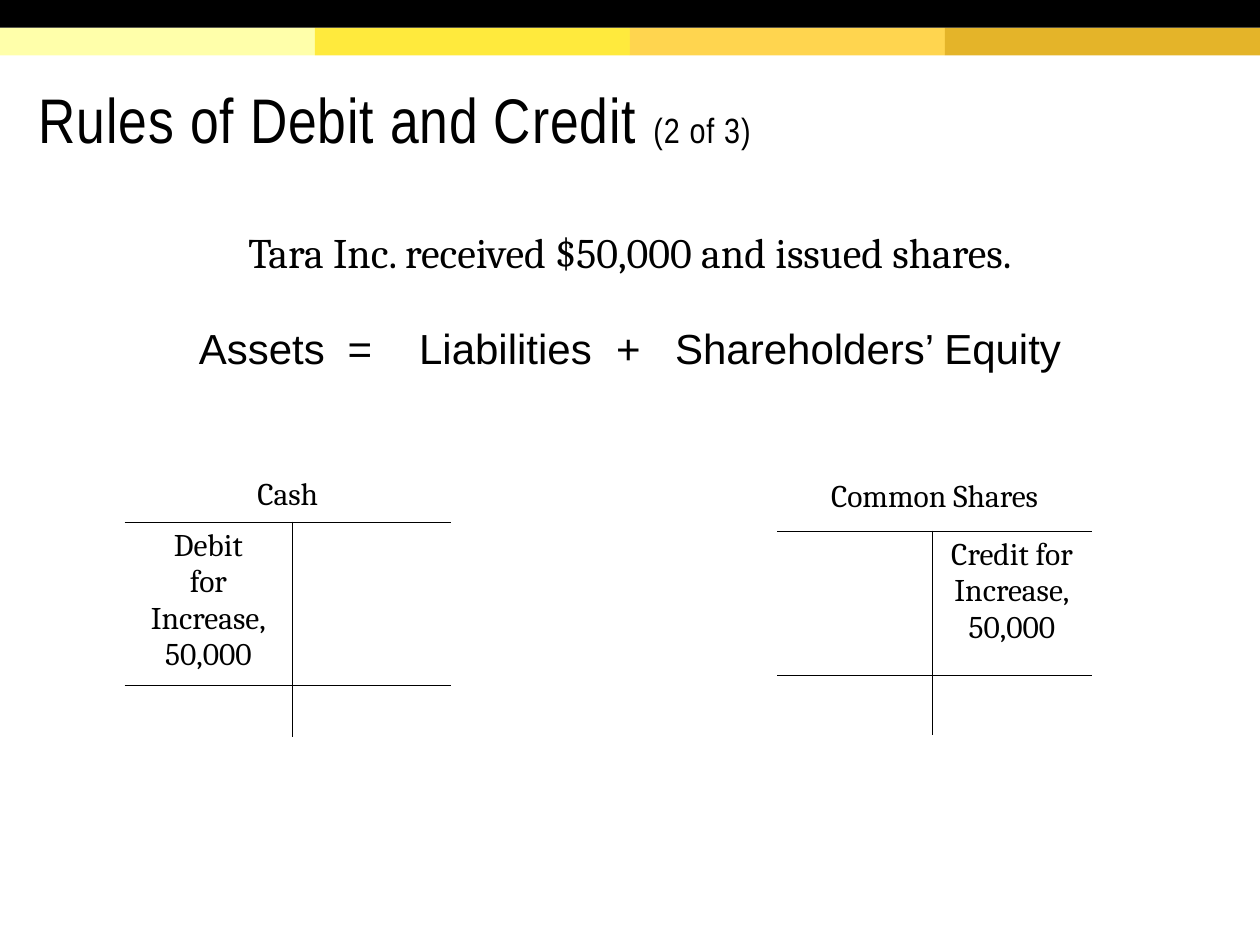
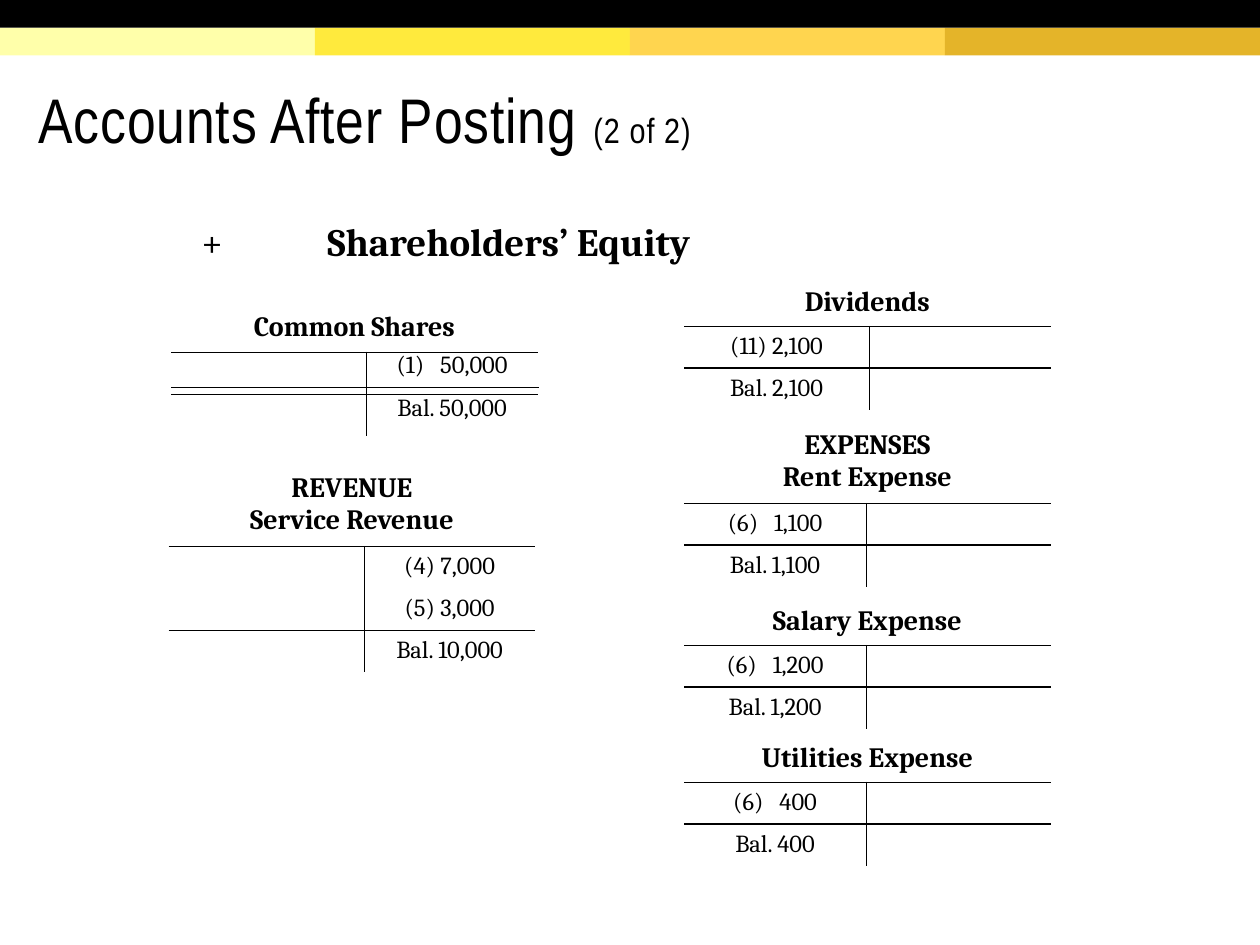
from dataclasses import dataclass

from lxml.etree import SubElement
from pptx import Presentation
from pptx.dml.color import RGBColor
from pptx.enum.shapes import MSO_CONNECTOR, MSO_SHAPE
from pptx.enum.text import MSO_ANCHOR, MSO_AUTO_SIZE, PP_ALIGN
from pptx.oxml.ns import qn
from pptx.slide import Slide, SlideLayout
from pptx.table import _Cell
from pptx.text.text import TextFrame, _Paragraph, _Run
from pptx.util import Cm, Pt


@dataclass(frozen=True)
class Theme:
    ink: str = "000000"
    bands: tuple[str, ...] = ("FFFFAA", "FFEA3D", "FFD54F", "E4B429")
    title_font: str = "Arial Narrow"
    body_font: str = "Cambria"
    equation_font: str = "Arial"
    title_size: float = 36
    part_size: float = 20
    statement_size: float = 24
    section_size: float = 22.2
    example_size: float = 18
    heading_size: float = 16
    entry_size: float = 14
    hairline: float = 0.25
    rule: float = 0.5
    total_line: float = 1


THEME = Theme()
SLIDE_WIDTH, SLIDE_HEIGHT = 25.4, 19.05
BAND_HEIGHT = 0.56
ENTRY_ROW = 0.83
NO_GRID_STYLE = "{2D5ABB26-0587-4C30-8999-92F81FD0307C}"


@dataclass(frozen=True)
class Account:
    heading: str
    left: float
    top: float
    columns: tuple[float, float]
    rows: tuple[float, ...]
    entries: tuple[tuple[str, str], ...]
    heading_size: float = THEME.heading_size
    entry_size: float = THEME.entry_size
    bold_heading: bool = True
    total_line: float = THEME.total_line
    flush: bool = False
    wide_reference: bool = False


def posted(heading: str, top: float, debit: str, balance: str,
           columns: tuple[float, float] = (3.67, 3.72), wide: bool = True) -> Account:
    heading_row = 1.55 if "\n" in heading else 0.89
    return Account(heading, 13.79, top, columns, (heading_row, ENTRY_ROW, ENTRY_ROW),
                   ((debit, ""), (balance, "")), wide_reference=wide)


EXAMPLE_STYLE = dict(heading_size=THEME.example_size, entry_size=THEME.example_size,
                     bold_heading=False, total_line=THEME.hairline)
EXAMPLE_ACCOUNTS = (
    Account("Cash", 2.51, 9.5, (3.38, 3.2), (0.99, 3.18, 1.04),
            (("Debit\nfor\nIncrease,\n50,000", ""), ("", "")), **EXAMPLE_STYLE),
    Account("Common Shares", 15.67, 9.53, (3.12, 3.22), (1.17, 2.92, 1.19),
            (("", "Credit for Increase,\n50,000"), ("", "")), **EXAMPLE_STYLE),
)
POSTED_ACCOUNTS = (
    Account("Common Shares", 3.45, 6.15, (3.94, 3.45), (0.94, 0.86, 0.84),
            (("", "(1) 50,000"), ("", "Bal. 50,000")),
            total_line=THEME.hairline, flush=True, wide_reference=True),
    Account("REVENUE\nService Revenue", 3.4, 9.4, (3.94, 3.45),
            (1.55, ENTRY_ROW, ENTRY_ROW, ENTRY_ROW),
            (("", "(4) 7,000"), ("", "(5) 3,000"), ("", "Bal. 10,000"))),
    posted("Dividends", 5.64, "(11) 2,100", "Bal. 2,100", (3.73, 3.66), wide=False),
    posted("EXPENSES\nRent Expense", 8.53, "(6) 1,100", "Bal. 1,100"),
    posted("Salary Expense", 12.07, "(6) 1,200", "Bal. 1,200"),
    posted("Utilities Expense", 14.83, "(6) 400", "Bal. 400"),
)


def format_run(run: _Run, size: float, font: str = THEME.body_font,
               bold: bool = False, tracking: int = 0) -> None:
    run.font.size = Pt(size)
    run.font.name = font
    run.font.bold = bold
    run.font.color.rgb = RGBColor.from_string(THEME.ink)
    if tracking:
        run.font._element.set("spc", str(tracking))


def append_run(paragraph: _Paragraph, text: str) -> _Run:
    run = paragraph.add_run()
    run.text = text
    return run


def add_tabs(paragraph: _Paragraph, stops: tuple[float, ...]) -> None:
    tab_list = SubElement(paragraph._p.get_or_add_pPr(), qn("a:tabLst"))
    for stop in stops:
        SubElement(tab_list, qn("a:tab"), pos=str(Cm(stop)), algn="l")


def add_bands(slide: Slide, layout: SlideLayout) -> None:
    width = SLIDE_WIDTH / len(THEME.bands)
    bands = [(i * width, BAND_HEIGHT, width, color) for i, color in enumerate(THEME.bands)]
    bands.append((0, 0, SLIDE_WIDTH, THEME.ink))
    for position, (left, top, span, color) in enumerate(bands, start=2):
        band = slide.shapes.add_shape(MSO_SHAPE.RECTANGLE, Cm(left), Cm(top),
                                      Cm(span), Cm(BAND_HEIGHT))
        band.shadow.inherit = False
        band.fill.solid()
        band.fill.fore_color.rgb = RGBColor.from_string(color)
        band.line.fill.background()
        layout.shapes.element.insert(position, band.element)


def set_title(slide: Slide, topic: str, part: str) -> None:
    title = slide.shapes.title
    title.left, title.top, title.width, title.height = Cm(0.53), Cm(1.19), Cm(24.1), Cm(2.49)
    frame = title.text_frame
    frame.word_wrap = True
    frame.auto_size = MSO_AUTO_SIZE.NONE
    frame.vertical_anchor = MSO_ANCHOR.MIDDLE
    frame.margin_left = frame.margin_right = frame.margin_top = Cm(0.25)
    frame.margin_bottom = Cm(0.13)
    heading = frame.paragraphs[0]
    heading.text = topic + " "
    heading.alignment = PP_ALIGN.LEFT
    heading.line_spacing = 0.85
    append_run(heading, part)
    for run, size in zip(heading.runs, (THEME.title_size, THEME.part_size)):
        format_run(run, size, THEME.title_font, tracking=50)


def add_body(slide: Slide, height: float) -> TextFrame:
    frame = slide.shapes.add_textbox(Cm(1.27), Cm(4.45), Cm(22.86), Cm(height)).text_frame
    frame.word_wrap = True
    return frame


def set_borders(cell: _Cell, weights: dict[str, float]) -> None:
    properties = cell._tc.get_or_add_tcPr()
    for side in ("L", "R", "T", "B"):
        weight = weights.get(side, 0)
        border = SubElement(properties, qn(f"a:ln{side}"), w=str(Pt(weight)))
        if weight:
            fill = SubElement(border, qn("a:solidFill"))
            SubElement(fill, qn("a:srgbClr"), val=THEME.ink)
        else:
            SubElement(border, qn("a:noFill"))


def fill_cell(cell: _Cell, text: str, size: float, bold: bool, wide_reference: bool) -> None:
    cell.text_frame.text = text
    for line in cell.text_frame.paragraphs:
        line.alignment = PP_ALIGN.CENTER
        if not text:
            SubElement(line._p, qn("a:endParaRPr"), sz=str(int(size * 100)))
        if wide_reference and text.startswith("("):
            reference, gap, amount = text.partition(" ")
            line.text = reference
            format_run(append_run(line, gap), size, tracking=600)
            append_run(line, amount)
        for run in line.runs:
            tracking = 600 if run.text == " " else 0
            format_run(run, size, bold=bold, tracking=tracking)


def add_account(slide: Slide, account: Account) -> None:
    table = slide.shapes.add_table(
        len(account.rows), 2, Cm(account.left), Cm(account.top),
        Cm(sum(account.columns)), Cm(sum(account.rows))).table
    table._tbl.tblPr.find(qn("a:tableStyleId")).text = NO_GRID_STYLE
    table.first_row = table.horz_banding = False
    for column, width in zip(table.columns, account.columns):
        column.width = Cm(width)
    for row, height in zip(table.rows, account.rows):
        row.height = Cm(height)

    heading = table.cell(0, 0)
    heading.merge(table.cell(0, 1))
    fill_cell(heading, account.heading, account.heading_size, account.bold_heading, False)
    for cell in (heading, table.cell(0, 1)):
        set_borders(cell, {"B": THEME.hairline})
        cell.fill.background()

    total_row = len(account.entries)
    for row, entry in enumerate(account.entries, start=1):
        for side, text in enumerate(entry):
            cell = table.cell(row, side)
            fill_cell(cell, text, account.entry_size, False, account.wide_reference)
            borders = {"L" if side else "R": THEME.hairline}
            if row == 1:
                borders["T"] = THEME.hairline
            if row == total_row - 1:
                borders["B"] = account.total_line
            if row == total_row:
                borders["T"] = account.total_line
            set_borders(cell, borders)
            cell.fill.background()
            if account.flush and text:
                cell.margin_left = cell.margin_right = 0
                cell.margin_top = cell.margin_bottom = 0


def build_rules(slide: Slide) -> None:
    set_title(slide, "Rules of Debit and Credit", "(2 of 3)")
    body = add_body(slide, 4.65)
    body.text = ("Tara Inc. received $50,000 and issued shares.\n"
                 "\tAssets\t=\tLiabilities\t+\tShareholders’ Equity")
    transaction, equation = body.paragraphs
    transaction.alignment = PP_ALIGN.CENTER
    transaction.space_after = Pt(18)
    add_tabs(equation, (2.49, 5.49, 6.93, 10.9, 12.09))
    equation.space_before = Pt(8)
    for line, font in ((transaction, THEME.body_font), (equation, THEME.equation_font)):
        for run in line.runs:
            format_run(run, THEME.statement_size, font)
    for account in EXAMPLE_ACCOUNTS:
        add_account(slide, account)


def build_posting(slide: Slide) -> None:
    set_title(slide, "Accounts After Posting", "(2 of 2)")
    section = add_body(slide, 1.02).paragraphs[0]
    section.text = "\t+\t"
    add_tabs(section, (2.54, 5.08))
    section.line_spacing = 0.8
    append_run(section, "Shareholders’ Equity")
    for run, bold in zip(section.runs, (False, True)):
        format_run(run, THEME.section_size, bold=bold)
    double_rule = slide.shapes.add_connector(
        MSO_CONNECTOR.STRAIGHT, Cm(3.45), Cm(7.82), Cm(10.87), Cm(7.82))
    double_rule.line.color.rgb = RGBColor.from_string(THEME.ink)
    double_rule.line.width = Pt(THEME.rule)
    SubElement(double_rule.element.spPr, qn("a:effectLst"))
    for account in POSTED_ACCOUNTS:
        add_account(slide, account)


def main() -> None:
    deck = Presentation()
    deck.slide_width, deck.slide_height = Cm(SLIDE_WIDTH), Cm(SLIDE_HEIGHT)
    title_only = deck.slide_layouts[5]
    rules, posting = (deck.slides.add_slide(title_only) for _ in range(2))
    add_bands(rules, title_only)
    build_rules(rules)
    build_posting(posting)
    deck.save("out.pptx")


if __name__ == "__main__":
    main()
